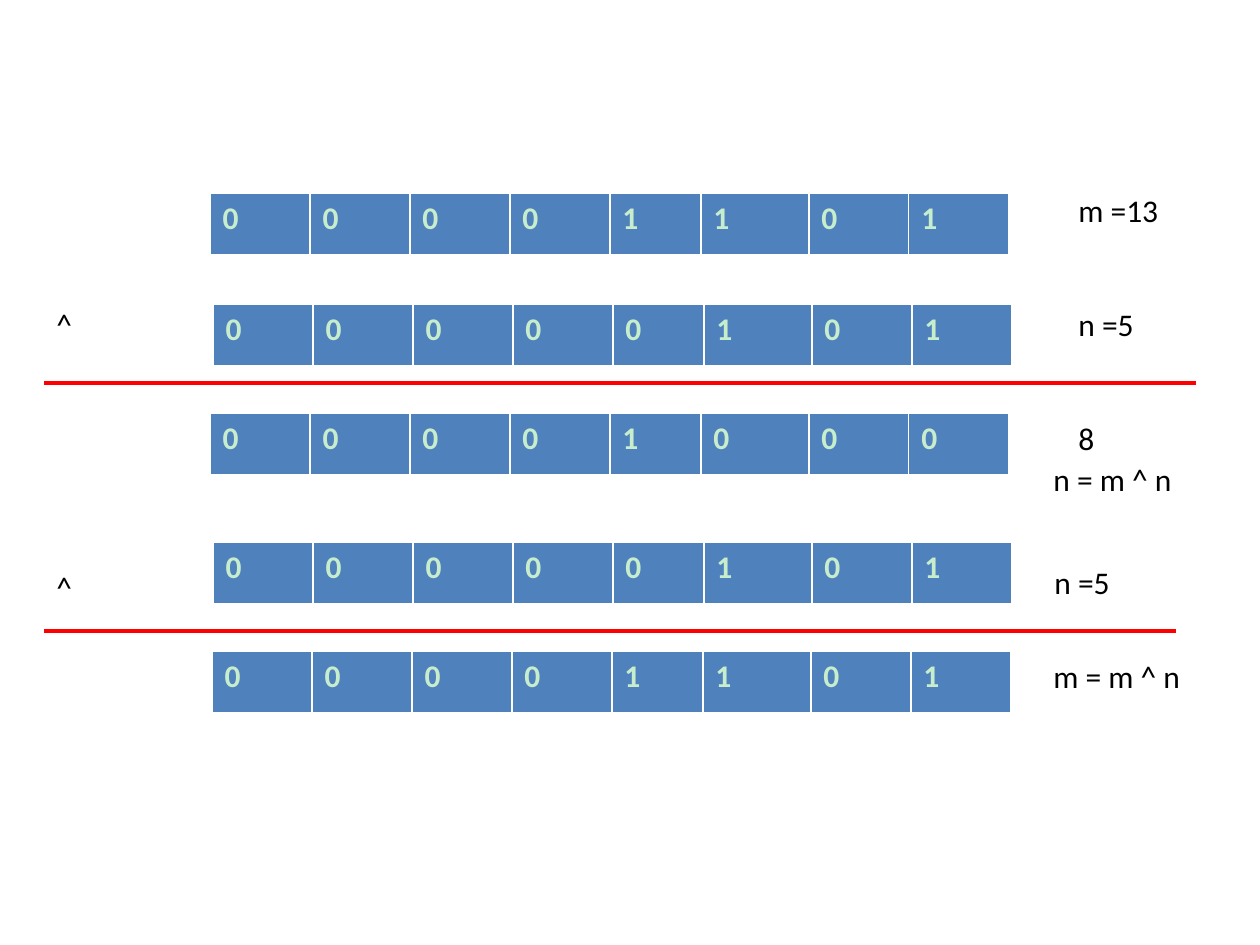
"""Build a slide that works through XOR on 8-bit numbers."""
from lxml import etree
from pptx import Presentation
from pptx.dml.color import RGBColor
from pptx.enum.shapes import MSO_CONNECTOR
from pptx.enum.text import MSO_AUTO_SIZE
from pptx.oxml.ns import qn
from pptx.util import Pt

PX = 914400 // 126
BLUE = RGBColor(0x4F, 0x81, 0xBD)
MINT = RGBColor(0xC7, 0xED, 0xCC)
RED = RGBColor(0xFF, 0, 0)
BLACK = RGBColor(0, 0, 0)
LINE = MSO_CONNECTOR.STRAIGHT
GROW = MSO_AUTO_SIZE.SHAPE_TO_FIT_TEXT

COLS = [100, 100, 100, 100, 91, 108, 100, 100]
ROW_H, TEXT_H = 62, 50
RULE_X = 44

# bits, left, top
BYTES = [
    ("00001101", 210, 193),
    ("00000101", 213, 304),
    ("00001000", 210, 413),
    ("00000101", 213, 542),
    ("00001101", 212, 651),
]
# text, left, top, width
LABELS = [
    ("m =13", 1066, 185, 110),
    ("n =5", 1066, 299, 110),
    ("^", 44, 299, 169),
    ("8", 1066, 413, 110),
    ("n = m ^ n", 1041, 454, 297),
    ("^", 44, 562, 84),
    ("n =5", 1042, 557, 110),
    ("m = m ^ n", 1041, 651, 297),
]
# right end, height on the slide
RULES = [(1196, 383), (1176, 631)]


def px(*nums):
    return [num * PX for num in nums]


def style(frame, color, bold=False):
    font = frame.paragraphs[0].runs[0].font
    font.name, font.size, font.bold = "Calibri", Pt(18), bold
    font.color.rgb = color


def add_byte(slide, bits, left, top):
    box = px(left, top, sum(COLS), ROW_H)
    table = slide.shapes.add_table(1, len(bits), *box).table
    for col, wide, bit in zip(table.columns, px(*COLS), bits):
        col.width = wide
    for cell, bit in zip(table.rows[0].cells, bits):
        cell.fill.solid()
        cell.fill.fore_color.rgb = BLUE
        cell.text_frame.text = bit
        style(cell.text_frame, MINT, True)


def add_label(slide, text, left, top, wide):
    frame = slide.shapes.add_textbox(*px(left, top, wide, TEXT_H)).text_frame
    frame.word_wrap = True
    frame.auto_size = GROW
    frame.text = text
    style(frame, BLACK)


def add_rule(slide, right, top):
    rule = slide.shapes.add_connector(LINE, *px(RULE_X, top, right, top))
    rule.line.color.rgb = RED
    rule.line.width = Pt(2.25)
    etree.SubElement(rule._element.spPr, qn("a:effectLst"))


def main():
    deck = Presentation()
    deck.slide_width, deck.slide_height = px(1260, 945)
    slide = deck.slides.add_slide(deck.slide_layouts[6])
    for add, items in ((add_byte, BYTES), (add_label, LABELS), (add_rule, RULES)):
        for item in items:
            add(slide, *item)
    deck.save("out.pptx")


if __name__ == "__main__":
    main()
